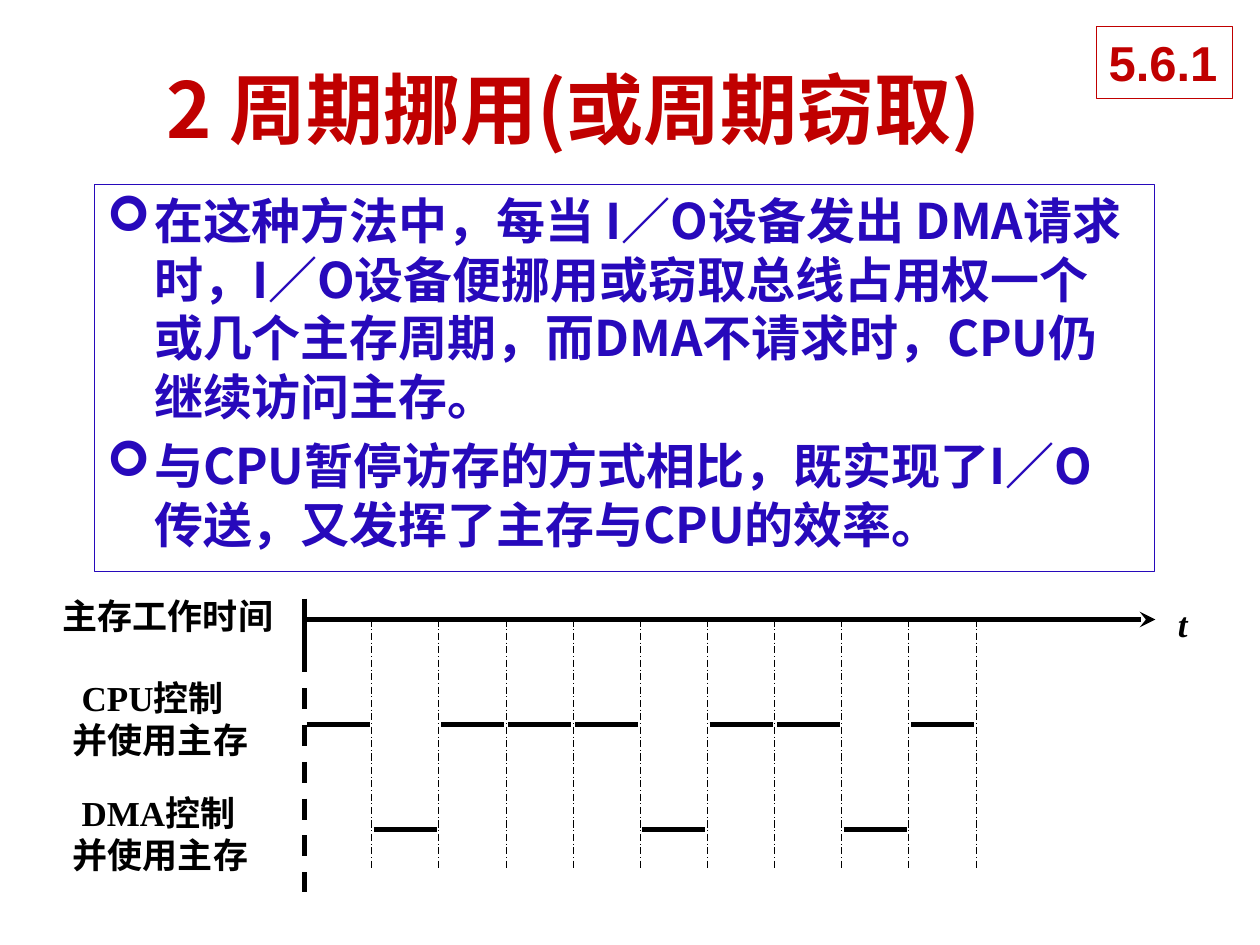
from lxml.etree import SubElement
from pptx import Presentation
from pptx.dml.color import RGBColor
from pptx.enum.dml import MSO_LINE
from pptx.enum.shapes import MSO_CONNECTOR, MSO_SHAPE
from pptx.enum.text import MSO_ANCHOR, PP_ALIGN
from pptx.oxml.ns import qn
from pptx.util import Inches, Pt

THEME = {
    "red": RGBColor.from_string("C00000"),
    "blue": RGBColor.from_string("2709BB"),
    "black": RGBColor.from_string("000000"),
    "white": RGBColor.from_string("FFFFFF"),
    "cjk": "Noto Sans CJK SC", "serif": "Times New Roman", "sans": "Arial",
    "mark": "Wingdings",
    "title": 44, "body": 28, "label": 20,
    "thick": 3, "thin": 0.5, "frame": 0.75,
}
COLS, ROWS = 100, 75
CELL = Inches(0.1)

deck = Presentation()
deck.slide_width, deck.slide_height = COLS * CELL, ROWS * CELL
slide = deck.slides.add_slide(deck.slide_layouts[6])
shapes = slide.shapes


def write(box, lines, size, font, color, wrap=False, slant=False):
    frame = box.text_frame
    frame.word_wrap = wrap
    frame.vertical_anchor = MSO_ANCHOR.TOP
    for i, line in enumerate(lines):
        para = frame.add_paragraph() if i else frame.paragraphs[0]
        para.alignment = PP_ALIGN.LEFT
        run = para.add_run()
        run.text = line
        face = run.font
        face.size, face.bold, face.italic = Pt(THEME[size]), True, slant
        face.color.rgb, face.name = THEME[color], THEME[font]
        SubElement(face._element, qn("a:ea"), typeface=THEME["cjk"])
    return frame


def rule(x, y, end, base, width="thick", dash=None):
    line = shapes.add_connector(MSO_CONNECTOR.STRAIGHT, *(
        round(n * CELL) for n in (x, y, end, base)))
    line.line.color.rgb = THEME["black"]
    line.line.width = Pt(THEME[width])
    if dash:
        line.line.dash_style = dash
    SubElement(line._element.spPr, qn("a:effectLst"))
    return line


spot = [round(n * CELL) for n in (12.2, 5.2, 84.2, 6.7)]
head = write(shapes.add_textbox(*spot), ["2 周期挪用(或周期窃取)"],
             "title", "cjk", "red", wrap=True)
head.vertical_anchor = MSO_ANCHOR.MIDDLE

points = [
    "在这种方法中，每当 I／O设备发出 DMA请求时，I／O设备便挪用或窃取总线占用权一个或几个主存周期，而DMA不请求时，CPU仍继续访问主存。",
    "与CPU暂停访存的方式相比，既实现了I／O传送，又发挥了主存与CPU的效率。",
]
panels = [
    ((7.5, 14.65, 84.15, 30.7), points, "cjk", "blue", True),
    ((87, 2.1, 10.8, 5.7), ["5.6.1"], "sans", "red", False),
]
for place, lines, font, color, wrap in panels:
    box = shapes.add_shape(MSO_SHAPE.RECTANGLE, *(round(n * CELL) for n in place))
    box.shadow.inherit = False
    box.fill.solid()
    box.fill.fore_color.rgb = THEME["white"]
    box.line.color.rgb = THEME[color]
    box.line.width = Pt(THEME["frame"])
    frame = write(box, lines, "body", font, color, wrap)
    if wrap:
        frame.margin_top = round(0.5 * CELL)
        frame.margin_right = round(1.4 * CELL)
        for i, para in enumerate(frame.paragraphs):
            para.line_spacing = Pt(33.5)
            para.space_before = Pt(6 if i else 0)
            props = para._p.get_or_add_pPr()
            props.set("marL", str(round(3.75 * CELL)))
            props.set("indent", str(round(-3.75 * CELL)))
            SubElement(props, qn("a:buFont"), typeface=THEME["mark"])
            SubElement(props, qn("a:buChar"), char="➢")

labels = [
    (4, 46.7, 18.8, ["主存工作时间"]),
    (4.8, 53.2, 16, ["CPU控制", "并使用主存"]),
    (4.8, 62.3, 16, ["DMA控制", "并使用主存"]),
    (92.5, 47.3, 2.8, ["t"]),
]
for x, y, wide, lines in labels:
    spot = [round(n * CELL) for n in (x, y, wide, 0.9 + 3.4 * len(lines))]
    frame = write(shapes.add_textbox(*spot), lines, "label", "serif", "black",
                  slant=lines == ["t"])
    if len(lines) > 1:
        frame.paragraphs[0]._p.get_or_add_pPr().set("marL", str(round(0.7 * CELL)))

LEFT, TOP, STEP = 24.17, 49.17, 5.33
LEVEL = {"C": 57.5, "D": 65.83}
rule(LEFT, 47.5, LEFT, 51.7)
axis = rule(LEFT, TOP, 91.7, TOP)
SubElement(axis.line._get_or_add_ln(), qn("a:tailEnd"), type="stealth")
rule(LEFT, 51.7, LEFT, 70.8, dash=MSO_LINE.DASH)
for i, user in enumerate("CDCCCDCCDC"):
    x = LEFT + i * STEP
    rule(x + 0.17, LEVEL[user], x + 5.17, LEVEL[user])
    rule(x + STEP, TOP, x + STEP, 68.9, "thin", MSO_LINE.LONG_DASH_DOT)

deck.save("out.pptx")
